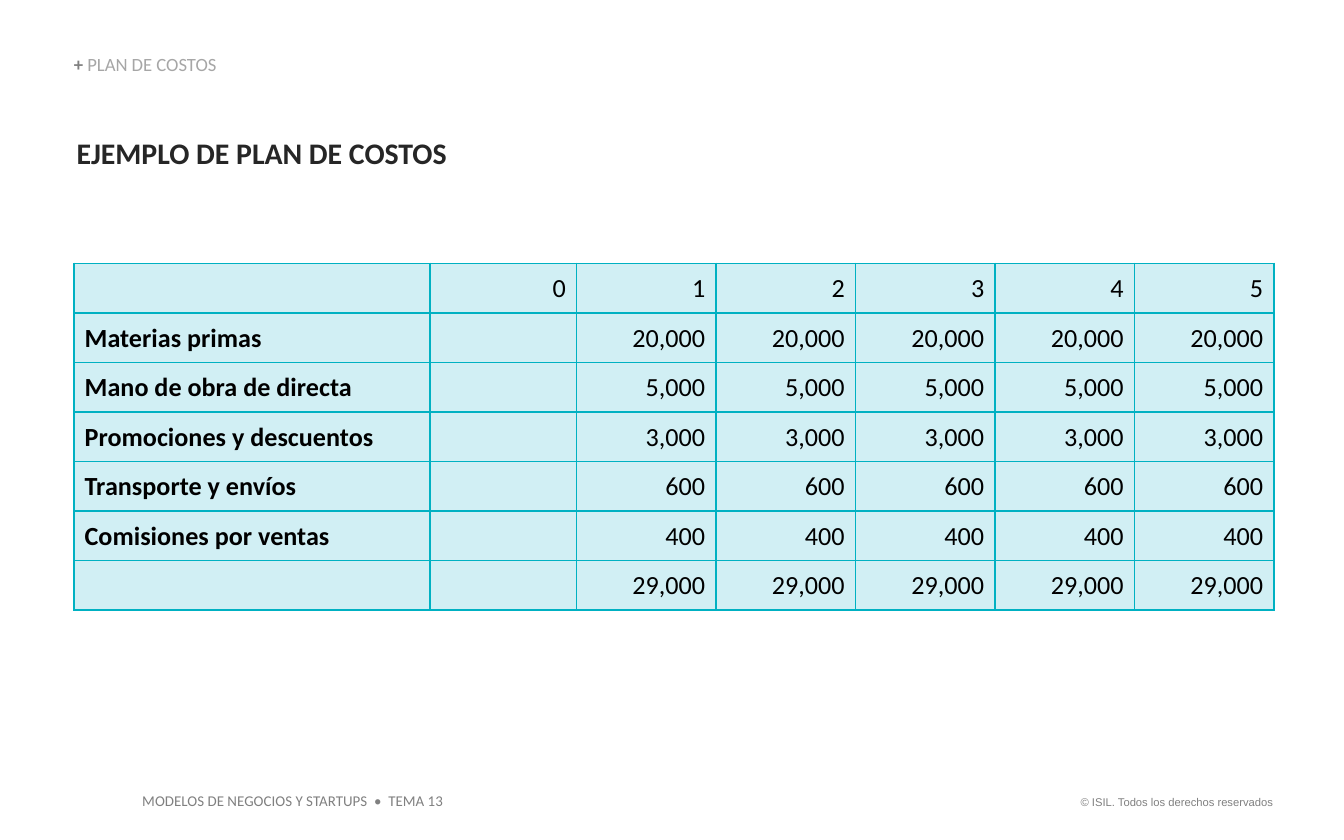
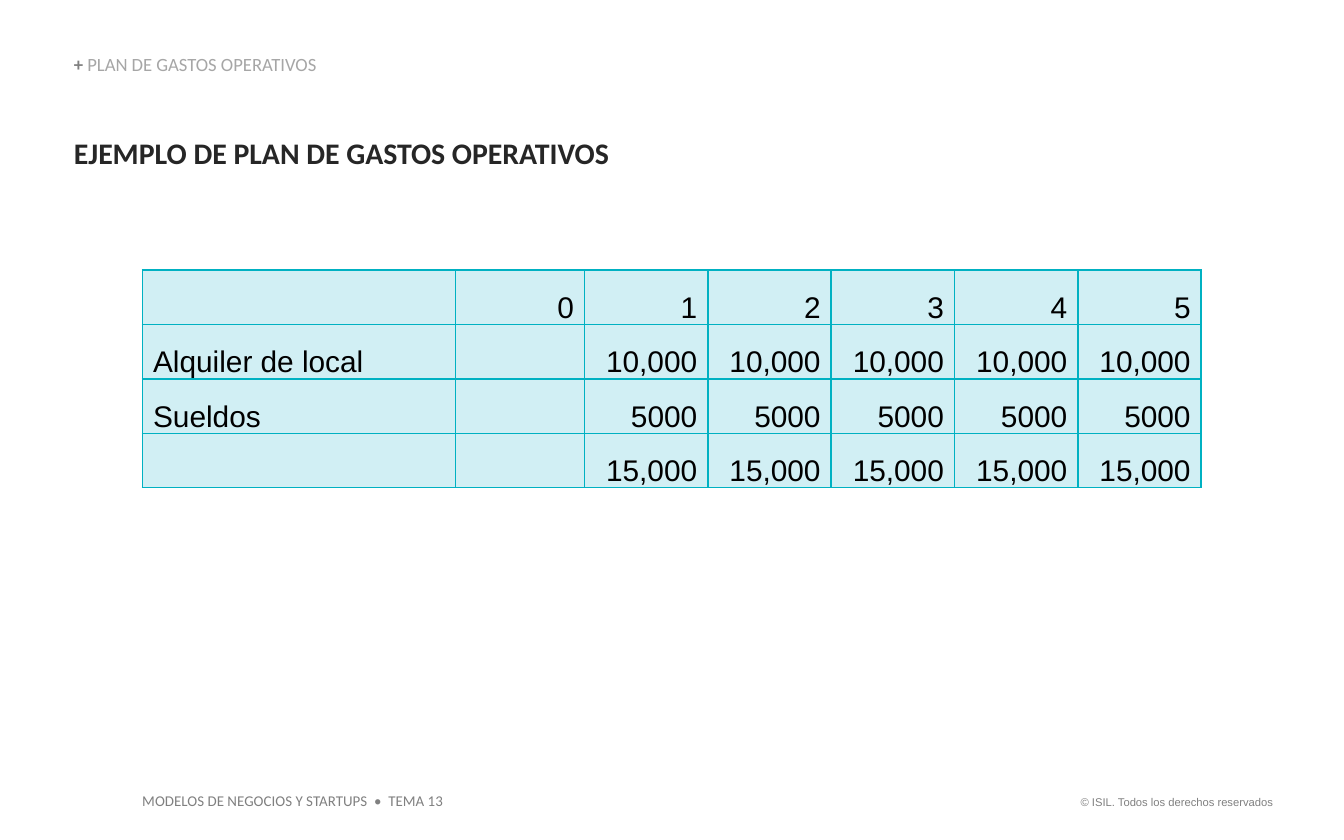
from dataclasses import dataclass

from lxml import etree
from pptx import Presentation
from pptx.dml.color import RGBColor
from pptx.enum.text import MSO_ANCHOR, MSO_AUTO_SIZE, PP_ALIGN
from pptx.oxml.ns import qn
from pptx.util import Pt

PX = 9144  # EMU per px, 100 px to the inch
WIDTH, HEIGHT = 1000, 625
TITLE_ONLY = 5

LEFT, RIGHT = PP_ALIGN.LEFT, PP_ALIGN.RIGHT
TOP, MIDDLE, BOTTOM = MSO_ANCHOR.TOP, MSO_ANCHOR.MIDDLE, MSO_ANCHOR.BOTTOM
GROW = MSO_AUTO_SIZE.SHAPE_TO_FIT_TEXT

BODY, PLAIN = "Calibri", "Arial"
BLACK, DARK, GRAY, LIGHT = "000000", "262626", "808080", "A6A6A6"
TEAL, PALE = "00B1C2", "D1EFF4"

YEARS = 5
HEADINGS = ["", "0", "1", "2", "3", "4", "5"]


@dataclass
class Box:
    left: int
    top: int
    width: int
    height: int

    def emu(self) -> list[int]:
        return [v * PX for v in (self.left, self.top, self.width, self.height)]


@dataclass
class CostTable:
    box: Box
    label_width: int
    start_width: int
    yearly: list[tuple[str, str]]
    font: str
    size: int
    anchor: MSO_ANCHOR
    bold_labels: bool

    def rows(self) -> list[list[str]]:
        return [HEADINGS] + [[label, ""] + [cost] * YEARS for label, cost in self.yearly]

    def widths(self) -> list[int]:
        year = (self.box.width - self.label_width - self.start_width) * PX // YEARS
        return [self.label_width * PX, self.start_width * PX] + [year] * YEARS


@dataclass
class PlanSlide:
    section: str
    title: str
    title_left: int
    table: CostTable


PLANS = [
    PlanSlide(
        "PLAN DE COSTOS", "EJEMPLO DE PLAN DE COSTOS", 56,
        CostTable(Box(55, 196, 893, 258), 265, 109, [
            ("Materias primas", "20,000"),
            ("Mano de obra de directa", "5,000"),
            ("Promociones y descuentos", "3,000"),
            ("Transporte y envíos", "600"),
            ("Comisiones por ventas", "400"),
            ("", "29,000"),
        ], BODY, 14, MIDDLE, True)),
    PlanSlide(
        "PLAN DE GASTOS OPERATIVOS", "EJEMPLO DE PLAN DE GASTOS OPERATIVOS", 54,
        CostTable(Box(106, 201, 788, 162), 233, 96, [
            ("Alquiler de local", "10,000"),
            ("Sueldos", "5000"),
            ("", "15,000"),
        ], PLAIN, 16, BOTTOM, False)),
]


def rgb(color: str) -> RGBColor:
    return RGBColor.from_string(color)


def add_run(p, text: str, *, size: int, font: str = BODY, color: str = GRAY,
            bold: bool = False) -> None:
    r = p.add_run()
    r.text = text
    r.font.name, r.font.size, r.font.bold = font, Pt(size), bold
    r.font.color.rgb = rgb(color)


def set_margins(target, left: int, top: int, right: int, bottom: int) -> None:
    target.margin_left, target.margin_top = left * PX, top * PX
    target.margin_right, target.margin_bottom = right * PX, bottom * PX


def add_footer(s, box: Box, text: str, *, align: PP_ALIGN = LEFT, **fmt) -> None:
    tf = s.shapes.add_textbox(*box.emu()).text_frame
    tf.word_wrap = False
    tf.auto_size = GROW
    tf.paragraphs[0].alignment = align
    add_run(tf.paragraphs[0], text, **fmt)


def add_section(s, text: str) -> None:
    tf = s.shapes.add_textbox(*Box(55, 41, 425, 15).emu()).text_frame
    tf.word_wrap = True
    tf.auto_size = GROW
    tf.vertical_anchor = BOTTOM
    set_margins(tf, 0, 0, 0, 0)
    p = tf.paragraphs[0]
    p.line_spacing = 0.9
    add_run(p, "+ ", size=10, bold=True)
    add_run(p, text, size=10, color=LIGHT)


def set_title(s, text: str, left: int) -> None:
    sp = s.shapes.title
    sp.left, sp.top, sp.width, sp.height = Box(left, 100, 893, 27).emu()
    tf = sp.text_frame
    tf.word_wrap = True
    tf.auto_size = GROW
    tf.vertical_anchor = TOP
    set_margins(tf, 1, 0, 0, 0)
    tf.paragraphs[0].alignment = LEFT
    add_run(tf.paragraphs[0], text, size=16, color=DARK, bold=True)


def add_borders(cell, color: str, points: int) -> None:
    tc_pr = cell._tc.get_or_add_tcPr()
    for side in ("lnL", "lnR", "lnT", "lnB"):
        ln = etree.SubElement(tc_pr, qn(f"a:{side}"), w=str(Pt(points)))
        fill = etree.SubElement(ln, qn("a:solidFill"))
        etree.SubElement(fill, qn("a:srgbClr"), val=color)


def add_cost_table(s, spec: CostTable) -> None:
    rows, widths = spec.rows(), spec.widths()
    table = s.shapes.add_table(len(rows), len(widths), *spec.box.emu()).table
    table.first_row = table.horz_banding = False
    for column, width in zip(table.columns, widths):
        column.width = width
    for row, texts in zip(table.rows, rows):
        row.height = spec.box.height * PX // len(rows)
        for i, (cell, text) in enumerate(zip(row.cells, texts)):
            add_borders(cell, TEAL, 1)
            cell.fill.solid()
            cell.fill.fore_color.rgb = rgb(PALE)
            cell.vertical_anchor = spec.anchor
            set_margins(cell, 8, 1, 8, 0)
            if text:
                p = cell.text_frame.paragraphs[0]
                p.alignment = RIGHT if i else LEFT
                add_run(p, text, size=spec.size, font=spec.font, color=BLACK,
                        bold=spec.bold_labels and i == 0)


def add_plan_slide(prs, plan: PlanSlide) -> None:
    s = prs.slides.add_slide(prs.slide_layouts[TITLE_ONLY])
    add_footer(s, Box(788, 587, 169, 20), "© ISIL. Todos los derechos reservados",
               align=RIGHT, size=6, font=PLAIN)
    add_footer(s, Box(96, 584, 245, 24), "MODELOS DE NEGOCIOS Y STARTUPS  •  TEMA 13", size=8)
    set_title(s, plan.title, plan.title_left)
    add_cost_table(s, plan.table)
    add_section(s, plan.section)


def main() -> None:
    prs = Presentation()
    prs.slide_width, prs.slide_height = WIDTH * PX, HEIGHT * PX
    for plan in PLANS:
        add_plan_slide(prs, plan)
    prs.save("out.pptx")


if __name__ == "__main__":
    main()
